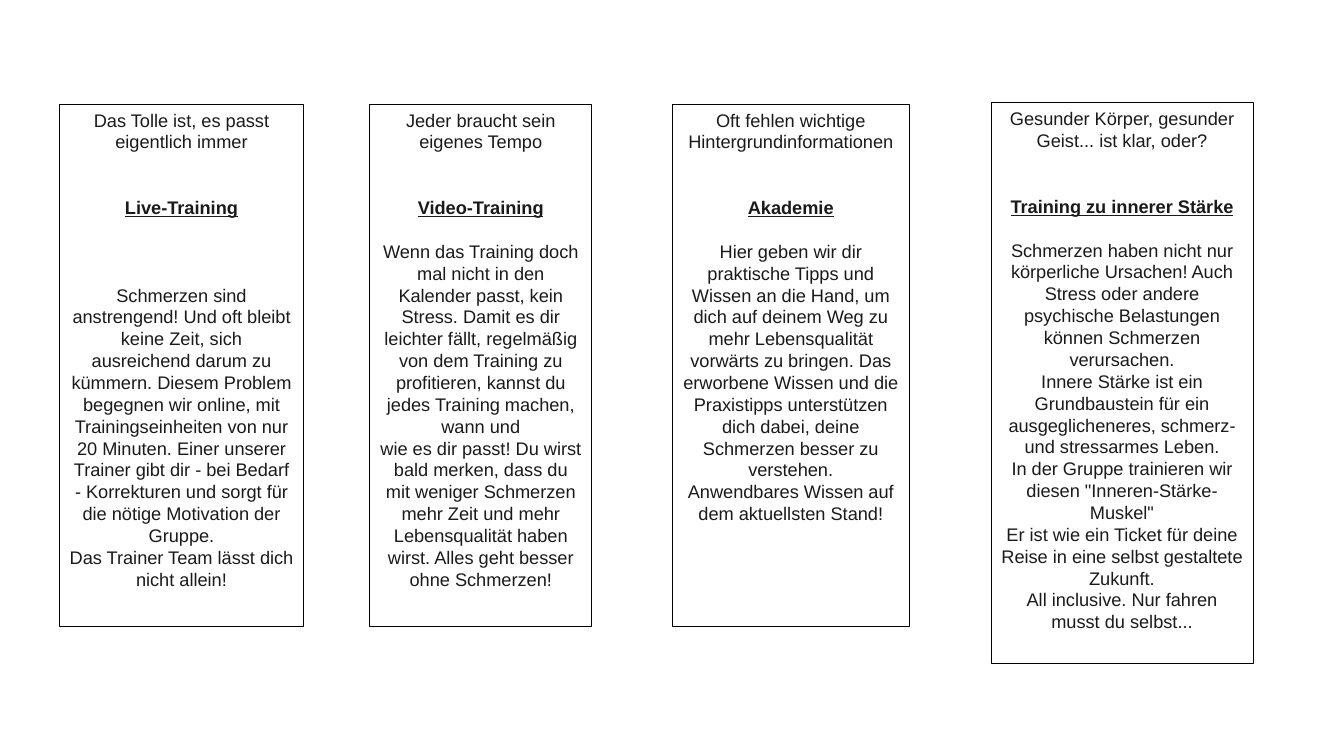
from pptx import Presentation
from pptx import util as u
from pptx.dml.color import RGBColor
from pptx.enum import shapes, text


def color(value):
    return RGBColor.from_string(value)


def write(para, content, bold=False, underline=False, before=0):
    para.alignment = text.PP_ALIGN.CENTER
    para.line_spacing = u.Pt(Page.leading)
    para.space_before = u.Pt(before)
    span = para.add_run()
    span.text = content
    span.font.name = Page.font
    span.font.size = u.Pt(Page.size)
    span.font.bold = bold
    span.font.underline = underline
    span.font.color.rgb = color(Page.ink)


class Page:
    """Holds the text style and the slide that receives the offer cards."""

    font = "Arial"
    size = 13
    leading = 15.62
    ink = "1A1A1A"

    def __init__(self, deck):
        self.slide = deck.slides.add_slide(deck.slide_layouts[6])

    def box(self, left, top, width, height):
        box = self.slide.shapes.add_shape(
            shapes.MSO_SHAPE.RECTANGLE, *map(u.Pt, (left, top, width, height)))
        box.shadow.inherit = False
        box.fill.solid()
        box.fill.fore_color.rgb = color("FFFFFF")
        box.line.color.rgb = color("000000")
        box.line.width = u.Pt(0.5)
        box.text_frame.word_wrap = True
        box.text_frame.vertical_anchor = text.MSO_ANCHOR.TOP
        return box

    def card(self, frame, intro, title, body, title_gap=1):
        words = self.box(*frame).text_frame
        write(words.paragraphs[0], intro)
        write(words.add_paragraph(), title, bold=True, underline=True,
              before=2 * self.leading)
        for index, content in enumerate(body):
            gap = 0 if index else title_gap * self.leading
            write(words.add_paragraph(), content, before=gap)


def main():
    deck = Presentation()
    deck.slide_width, deck.slide_height = u.Pt(960), u.Pt(540)
    page = Page(deck)
    page.card(
        (42.5, 74.2, 174.2, 373),
        "Das Tolle ist, es passt eigentlich immer",
        "Live-Training",
        ["Schmerzen sind anstrengend! Und oft bleibt keine Zeit, sich "
         "ausreichend darum zu kümmern. Diesem Problem begegnen wir online, "
         "mit Trainingseinheiten von nur 20 Minuten. Einer unserer Trainer "
         "gibt dir - bei Bedarf - Korrekturen und sorgt für die nötige "
         "Motivation der Gruppe.",
         "Das Trainer Team lässt dich nicht allein!"],
        title_gap=3)
    page.card(
        (264.2, 74.2, 158.4, 373),
        "Jeder braucht sein eigenes Tempo",
        "Video-Training",
        ["Wenn das Training doch mal nicht in den Kalender passt, kein "
         "Stress. Damit es dir leichter fällt, regelmäßig von dem Training "
         "zu profitieren, kannst du jedes Training machen, wann und",
         "wie es dir passt! Du wirst bald merken, dass du mit weniger "
         "Schmerzen mehr Zeit und mehr Lebensqualität haben wirst. Alles "
         "geht besser ohne Schmerzen!"])
    page.card(
        (480.2, 74.2, 169.2, 373),
        "Oft fehlen wichtige Hintergrundinformationen",
        "Akademie",
        ["Hier geben wir dir praktische Tipps und Wissen an die Hand, um "
         "dich auf deinem Weg zu mehr Lebensqualität vorwärts zu bringen. "
         "Das erworbene Wissen und die Praxistipps unterstützen dich dabei, "
         "deine Schmerzen besser zu verstehen.",
         "Anwendbares Wissen auf dem aktuellsten Stand!"])
    page.card(
        (707.8, 73.4, 187.2, 400.3),
        "Gesunder Körper, gesunder Geist... ist klar, oder?",
        "Training zu innerer Stärke",
        ["Schmerzen haben nicht nur körperliche Ursachen! Auch Stress oder "
         "andere psychische Belastungen können Schmerzen verursachen.",
         "Innere Stärke ist ein Grundbaustein für ein ausgeglicheneres, "
         "schmerz- und stressarmes Leben.",
         'In der Gruppe trainieren wir diesen "Inneren-Stärke-Muskel"',
         "Er ist wie ein Ticket für deine Reise in eine selbst gestaltete "
         "Zukunft.",
         "All inclusive. Nur fahren musst du selbst..."])
    deck.save("out.pptx")


if __name__ == "__main__":
    main()
